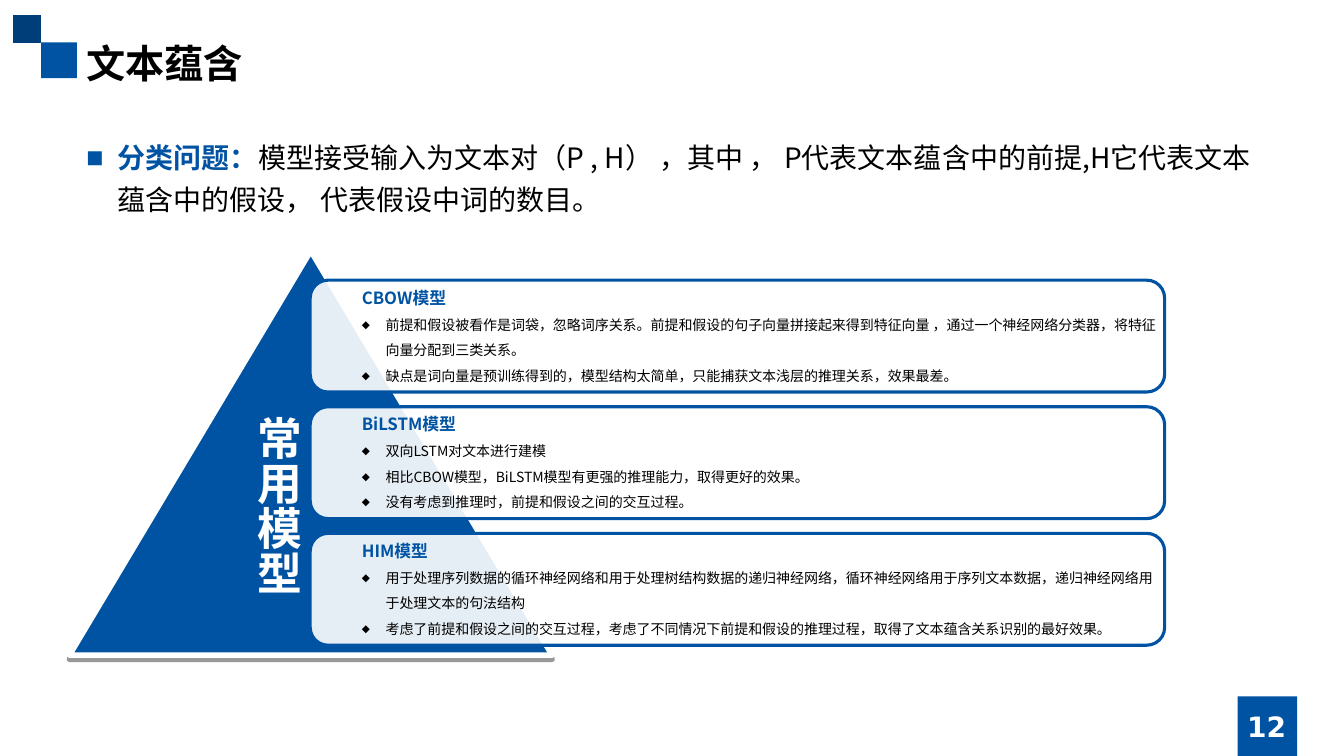
"""Build the slide on textual entailment with its three common models."""
from lxml import etree
from pptx import Presentation
from pptx import util as u
from pptx.dml.color import RGBColor
from pptx.enum import shapes, text
from pptx.oxml import ns, parse_xml

BLUE = RGBColor(0x00, 0x53, 0xA3)
NAVY = RGBColor(0x00, 0x3E, 0x7A)
WHITE = RGBColor(0xFF, 0xFF, 0xFF)
BLACK = RGBColor(0x00, 0x00, 0x00)
CJK = "Noto Sans CJK SC"
SANS = "DejaVu Sans"
LABEL = {"name": SANS, "size": u.Pt(32), "bold": True}
NUMBER = {"name": SANS, "size": u.Pt(20), "bold": True}
TITLE = {"name": CJK, "size": u.Pt(28), "bold": True}
LEAD = {"name": CJK, "size": u.Pt(20), "bold": True}
BODY = {"name": CJK, "size": u.Pt(20), "bold": False}
CARD_TITLE = {"name": CJK, "size": u.Pt(12), "bold": True}
CARD_BODY = {"name": CJK, "size": u.Pt(10), "bold": False}

presentation = Presentation()
presentation.slide_width = u.Cm(33.88)
presentation.slide_height = u.Cm(19.05)
slide = presentation.slides.add_slide(presentation.slide_layouts[6])


def add_run(paragraph, words, style, color):
    run = paragraph.add_run()
    run.text = words
    for name, value in style.items():
        setattr(run.font, name, value)
    run.font.color.rgb = color
    etree.SubElement(run.font._element, ns.qn("a:ea"), typeface=CJK)


def set_bullet(paragraph, symbol, color, percent, indent):
    properties = paragraph._p.get_or_add_pPr()
    properties.set("marL", str(u.Cm(indent)))
    properties.set("indent", str(-u.Cm(indent)))
    bullet_color = etree.SubElement(properties, ns.qn("a:buClr"))
    etree.SubElement(bullet_color, ns.qn("a:srgbClr"), val=str(color))
    etree.SubElement(properties, ns.qn("a:buSzPct"), val=str(percent * 1000))
    etree.SubElement(properties, ns.qn("a:buFont"), typeface=SANS)
    etree.SubElement(properties, ns.qn("a:buChar"), char=symbol)


for left, top, side, color in (
    (1.04, 1.07, 0.9, BLUE),
    (0.33, 0.38, 0.7, NAVY),
    (31.2, 17.55, 1.5, BLUE),
):
    square = slide.shapes.add_shape(
        shapes.MSO_SHAPE.RECTANGLE, u.Cm(left), u.Cm(top), u.Cm(side), u.Cm(side))
    square.shadow.inherit = False
    square.fill.solid()
    square.fill.fore_color.rgb = color
    square.line.fill.background()

number = slide.shapes.add_textbox(u.Cm(30), u.Cm(17.8), u.Cm(3.86), u.Cm(1.02))
number.text_frame.word_wrap = True
number.text_frame.vertical_anchor = text.MSO_ANCHOR.MIDDLE
paragraph = number.text_frame.paragraphs[0]
paragraph.alignment = text.PP_ALIGN.CENTER
add_run(paragraph, "12", NUMBER, WHITE)

title = slide.shapes.add_textbox(u.Cm(1.93), u.Cm(0.79), u.Cm(30), u.Cm(1.45))
title.text_frame.word_wrap = True
paragraph = title.text_frame.paragraphs[0]
paragraph.line_spacing = u.Pt(36)
add_run(paragraph, "文本蕴含", TITLE, BLACK)

problem = slide.shapes.add_textbox(u.Cm(1.93), u.Cm(3.12), u.Cm(30), u.Cm(2.4))
problem.text_frame.word_wrap = True
problem.text_frame.margin_top = u.Cm(0.2)
paragraph = problem.text_frame.paragraphs[0]
paragraph.line_spacing = u.Pt(30)
set_bullet(paragraph, "■", BLUE, 65, 0.79)
add_run(paragraph, "分类问题：", LEAD, BLUE)
add_run(paragraph, "模型接受输入为文本对（P , H） ，其中 ， P代表文本蕴含中的前提,H它代表"
        "文本蕴含中的假设， 代表假设中词的数目。", BODY, BLACK)

pyramid = slide.shapes.add_shape(
    shapes.MSO_SHAPE.ISOSCELES_TRIANGLE, u.Cm(1.75), u.Cm(6.32), u.Cm(12.17), u.Cm(10.19))
pyramid.fill.solid()
pyramid.fill.fore_color.rgb = BLUE
pyramid.line.color.rgb = WHITE
pyramid.line.width = u.Pt(4)
pyramid._element.spPr.append(parse_xml(
    f'<a:effectLst {ns.nsdecls("a")}><a:outerShdw dist="{u.Pt(3)}" dir="5400000" '
    'rotWithShape="0"><a:srgbClr val="000000"><a:alpha val="40000"/></a:srgbClr>'
    '</a:outerShdw></a:effectLst>'))

label = slide.shapes.add_textbox(u.Cm(5.97), u.Cm(10.24), u.Cm(1.85), u.Cm(4.78))
frame = label.text_frame
for name, margin in (("left", 0.13), ("right", 0.13), ("top", 0.25), ("bottom", 0.25)):
    setattr(frame, f"margin_{name}", u.Cm(margin))
frame._txBody.bodyPr.set("vert", "eaVert")
add_run(frame.paragraphs[0], "常用模型", LABEL, WHITE)

models = (
    ("CBOW模型", (
        "前提和假设被看作是词袋，忽略词序关系。前提和假设的句子向量拼接起来得到特征向量 ，"
        "通过一个神经网络分类器，将特征向量分配到三类关系。",
        "缺点是词向量是预训练得到的，模型结构太简单，只能捕获文本浅层的推理关系，效果最差。")),
    ("BiLSTM模型", (
        "双向LSTM对文本进行建模",
        "相比CBOW模型，BiLSTM模型有更强的推理能力，取得更好的效果。",
        "没有考虑到推理时，前提和假设之间的交互过程。")),
    ("HIM模型", (
        "用于处理序列数据的循环神经网络和用于处理树结构数据的递归神经网络，"
        "循环神经网络用于序列文本数据，递归神经网络用于处理文本的句法结构",
        "考虑了前提和假设之间的交互过程，考虑了不同情况下前提和假设的推理过程，"
        "取得了文本蕴含关系识别的最好效果。")),
)
for index, (model, points) in enumerate(models):
    card = slide.shapes.add_shape(
        shapes.MSO_SHAPE.ROUNDED_RECTANGLE,
        u.Cm(7.82), u.Cm(7.06 + index * 3.19), u.Cm(21.54), u.Cm(2.82))
    card.adjustments[0] = 0.16
    card.shadow.inherit = False
    card.fill.solid()
    card.fill.fore_color.rgb = WHITE
    fill_color = card.fill._xPr.find(ns.qn("a:solidFill"))[0]
    etree.SubElement(fill_color, ns.qn("a:alpha"), val="90000")
    card.line.color.rgb = BLUE
    card.line.width = u.Pt(2.25)
    frame = card.text_frame
    frame.word_wrap = True
    frame.vertical_anchor = text.MSO_ANCHOR.TOP
    for name, margin in (("left", 1.17), ("right", 0.05), ("top", 0), ("bottom", 0)):
        setattr(frame, f"margin_{name}", u.Cm(margin))
    heading = frame.paragraphs[0]
    heading.alignment = text.PP_ALIGN.LEFT
    heading.line_spacing = u.Pt(16)
    add_run(heading, model, CARD_TITLE, BLUE)
    for point in points:
        paragraph = frame.add_paragraph()
        paragraph.alignment = text.PP_ALIGN.LEFT
        paragraph.line_spacing = u.Pt(18.1)
        set_bullet(paragraph, "◆", BLACK, 75, 0.6)
        add_run(paragraph, point, CARD_BODY, BLACK)

presentation.save("out.pptx")
